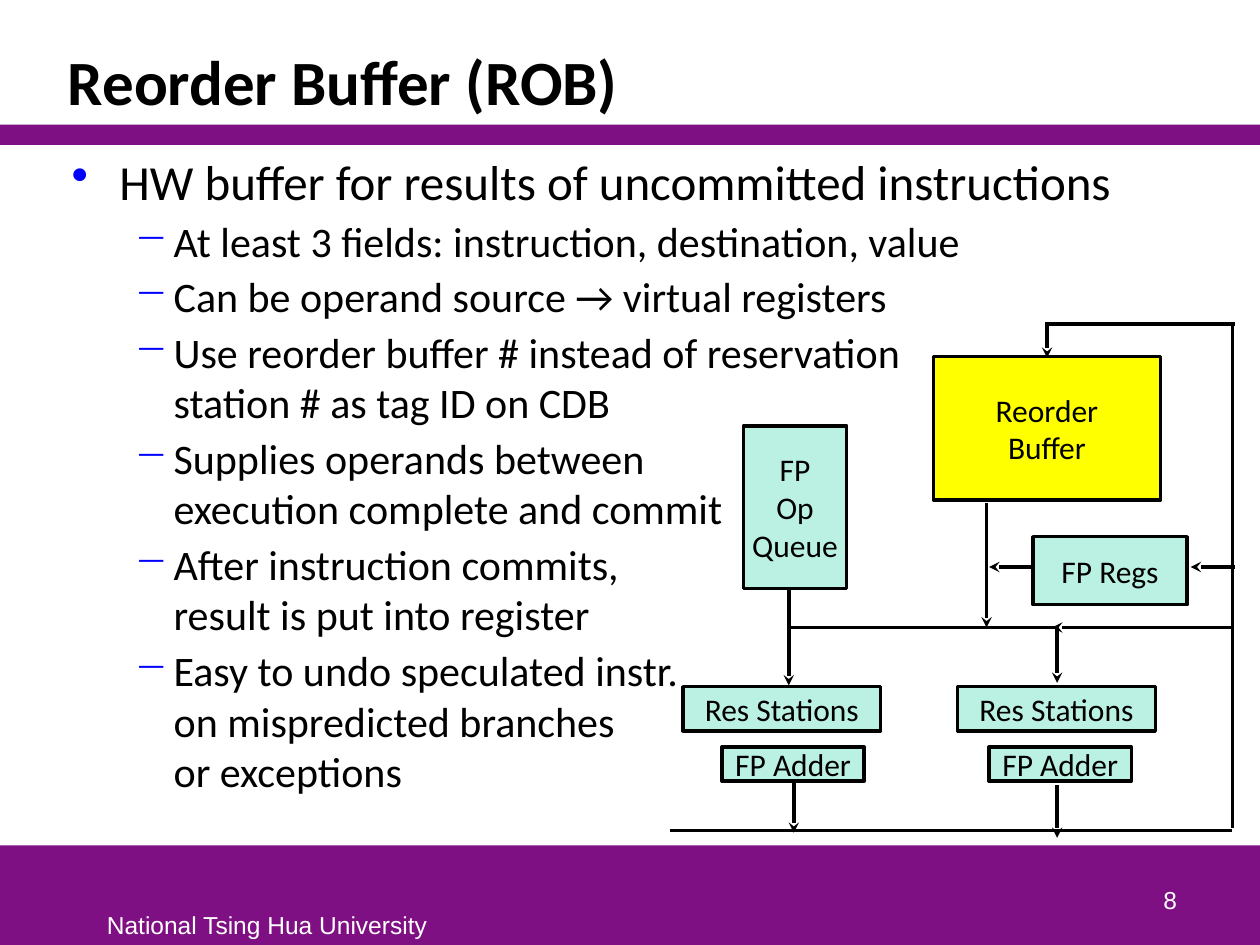
from lxml.etree import SubElement
from pptx import Presentation
from pptx.dml.color import RGBColor
from pptx.enum.shapes import MSO_CONNECTOR as Connector, MSO_SHAPE as Shape
from pptx.enum.text import MSO_ANCHOR as Anchor, PP_ALIGN as Align
from pptx.oxml.ns import qn
from pptx.util import Pt

PX = 9144  # EMU per px, 100 px to the inch

BLACK = RGBColor(0x00, 0x00, 0x00)
WHITE = RGBColor(0xFF, 0xFF, 0xFF)
PURPLE = RGBColor(0x7F, 0x10, 0x84)
BLUE = RGBColor(0x00, 0x00, 0xFF)
YELLOW = RGBColor(0xFF, 0xFF, 0x00)
MINT = RGBColor(0xBB, 0xF1, 0xE3)

POINTS = [
    "At least 3 fields: instruction, destination, value",
    "Can be operand source → virtual registers",
    "Use reorder buffer # instead of reservation\vstation # as tag ID on CDB",
    "Supplies operands between\vexecution complete and commit",
    "After instruction commits,\vresult is put into register",
    "Easy to undo speculated instr.\von mispredicted branches\vor exceptions",
]


class SlideBuilder:
    def __init__(self, page, body_font="Calibri", footer_font="Arial", line_width=2):
        self.page = page
        self.body_font = body_font
        self.footer_font = footer_font
        self.line_width = Pt(line_width)

    def style(self, para, size, color=BLACK, name=None, bold=False):
        font = para.font
        font.size, font.bold = Pt(size), bold
        font.name = name or self.body_font
        font.color.rgb = color

    def rect(self, left, top, width, height, fill):
        shape = self.page.shapes.add_shape(
            Shape.RECTANGLE, left * PX, top * PX, width * PX, height * PX)
        shape.shadow.inherit = False
        shape.fill.solid()
        shape.fill.fore_color.rgb = fill
        shape.line.fill.background()
        return shape

    def unit(self, label, left, top, width, height, fill=MINT):
        """Outlined block of the datapath with a centred label."""
        shape = self.rect(left, top, width, height, fill)
        shape.line.color.rgb = BLACK
        shape.line.width = self.line_width
        frame = shape.text_frame
        frame.word_wrap = False
        frame.vertical_anchor = Anchor.MIDDLE
        frame.text = label
        for para in frame.paragraphs:
            para.alignment = Align.CENTER
            self.style(para, 18)

    def text_box(self, left, top, width, height, anchor=Anchor.TOP, wrap=True):
        box = self.page.shapes.add_textbox(
            left * PX, top * PX, width * PX, height * PX)
        box.text_frame.word_wrap = wrap
        box.text_frame.vertical_anchor = anchor
        return box.text_frame

    def title(self, text):
        para = self.text_box(44, 25, 897, 74, Anchor.BOTTOM).paragraphs[0]
        para.text = text
        para.line_spacing = 0.85
        self.style(para, 36, bold=True)

    def bullet(self, para, text, char, size, indent, hang, level=0):
        para.text = text
        para.level = level
        props = para._p.get_or_add_pPr()
        props.set("marL", str(indent * PX))
        props.set("indent", str(-hang * PX))
        color = SubElement(props, qn("a:buClr"))
        SubElement(color, qn("a:srgbClr"), val=str(BLUE))
        SubElement(props, qn("a:buChar"), char=char)
        self.style(para, size)

    def outline(self, heading, points):
        frame = self.text_box(47, 115, 894, 543)
        self.bullet(frame.paragraphs[0], heading, "•", 28, 38, 38)
        for point in points:
            para = frame.add_paragraph()
            para.space_before = Pt(3)
            self.bullet(para, point, "−", 24, 81, 31, level=1)

    def footer(self, text, number):
        name = self.text_box(75, 717, 276, 33, wrap=False).paragraphs[0]
        name.text = text
        page_number = self.text_box(736, 681, 208, 50, Anchor.BOTTOM).paragraphs[0]
        page_number.text = str(number)
        page_number.alignment = Align.RIGHT
        for para in (name, page_number):
            self.style(para, 14, WHITE, self.footer_font)

    def wire(self, x1, y1, x2, y2, arrow=False):
        line = self.page.shapes.add_connector(
            Connector.STRAIGHT, x1 * PX, y1 * PX, x2 * PX, y2 * PX)
        line.line.color.rgb = BLACK
        line.line.width = self.line_width
        if arrow:
            SubElement(line.line._get_or_add_ln(), qn("a:tailEnd"), type="stealth")
        SubElement(line._element.spPr, qn("a:effectLst"))


def draw_datapath(slide):
    slide.unit("Reorder\nBuffer", 741, 283, 180, 114, YELLOW)
    slide.unit("FP Regs", 820, 426, 122, 54)
    slide.unit("FP\nOp\nQueue", 590, 338, 82, 129)
    for adder_left, station_left in ((573, 542), (785, 760)):
        slide.unit("FP Adder", adder_left, 593, 113, 27)
        slide.unit("Res Stations", station_left, 545, 157, 35)

    bus_x, operand_y = 978, 498
    queue_x, right_x = 626, 839
    for wire in (
        (532, 659, bus_x, 659),
        (bus_x, 257, bus_x, 657),
        (980, 257, 829, 257),
        (queue_x, operand_y, right_x, operand_y),
    ):
        slide.wire(*wire)
    for arrow in (
        (831, 257, 831, 284),
        (630, 619, 630, 661),
        (right_x, 623, right_x, 665),
        (queue_x, 468, queue_x, 544),
        (right_x, operand_y, right_x, 542),
        (783, 399, 783, operand_y),
        (821, 450, 785, 450),
        (bus_x, operand_y, 835, operand_y),
        (980, 450, 945, 450),
    ):
        slide.wire(*arrow, arrow=True)


def main():
    deck = Presentation()
    deck.slide_width, deck.slide_height = 1000 * PX, 750 * PX
    slide = SlideBuilder(deck.slides.add_slide(deck.slide_layouts[6]))
    slide.rect(0, 671, 1000, 79, PURPLE)
    slide.rect(0, 99, 1000, 16, PURPLE)
    slide.footer("National Tsing Hua University", 8)
    slide.title("Reorder Buffer (ROB)")
    slide.outline("HW buffer for results of uncommitted instructions", POINTS)
    draw_datapath(slide)
    deck.save("out.pptx")


if __name__ == "__main__":
    main()
